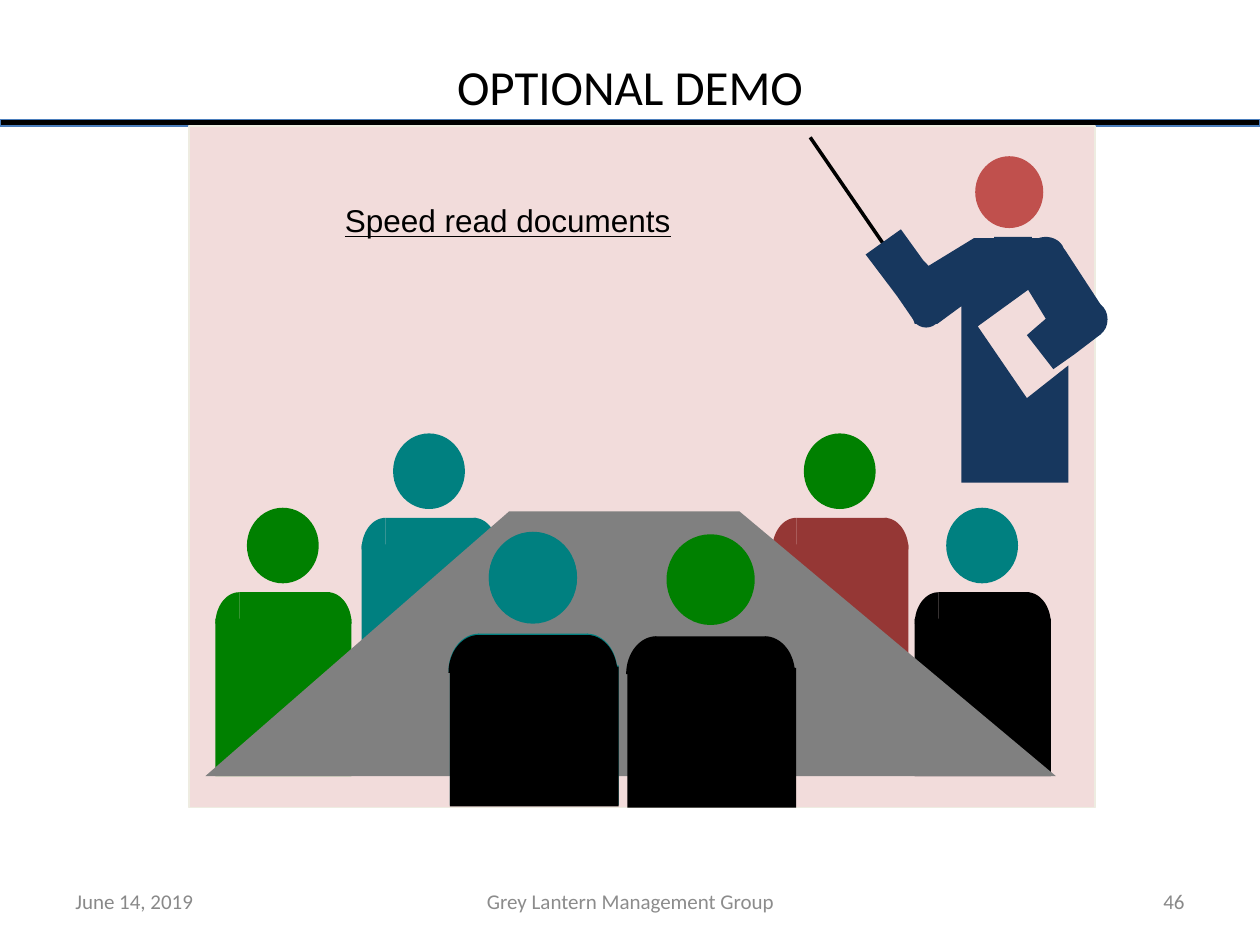
import math

import pptx
import pptx.dml.color
import pptx.enum.shapes
import pptx.enum.text
import pptx.oxml.ns
import pptx.util
from pptx.util import Inches

SHAPE = pptx.enum.shapes.MSO_SHAPE
ALIGN = pptx.enum.text.PP_ALIGN
ANCHOR = pptx.enum.text.MSO_ANCHOR

THEME = {
    "black": "000000", "rule_edge": "4B7EBC", "wall": "F2DCDB", "wall_edge": "EEECE1",
    "navy": "17375E", "red": "C0504D", "maroon": "953735", "teal": "008080",
    "green": "008000", "table": "808080", "muted": "898989", "footer": "8C8C8C",
    "title_size": 28, "caption_size": 18, "footer_size": 12,
    "body_font": "Calibri", "caption_font": "Arial",
}

TITLE = "OPTIONAL DEMO"
CAPTION = "Speed read documents"
FOOTERS = [  # text, box left, box width, alignment, colour
    ("46", 7.17, 2.33, ALIGN.RIGHT, "muted"),
    ("June 14, 2019", 0.5, 2.33, ALIGN.LEFT, "muted"),
    ("Grey Lantern Management Group", 3.42, 3.17, ALIGN.CENTER, "footer"),
]

# Measures of a seated person; offsets start at the left shoulder's outer top corner
FAR = dict(head=(0.25, -0.67, 0.57, 0.6), chest=(0.19, 0, 0.72, 0.31),
           torso=(0, 0.21, 1.08, 1.25), shoulder=(0.19, 0.25), width=1.08)
NEAR = dict(head=(0.32, -0.81, 0.7, 0.72), chest=(0.23, 0, 0.88, 0.36),
            torso=(0.01, 0.25, 1.34, 1.11), shoulder=(0.24, 0.3), width=1.34)
FAR_SEATS = [  # left, top, body colour, head colour
    (7.26, 4.7, "black", "teal"),
    (6.13, 4.11, "maroon", "green"),
    (2.87, 4.11, "teal", "teal"),
    (1.71, 4.7, "green", "green"),
]
NEAR_SEATS = [
    (4.97, 5.05, "black", "green"),
    (3.56, 5.03, "teal", "teal"),
    (3.56, 5.04, "black", "teal"),
]
TABLE = [(1.63, 6.16), (4.04, 4.06), (5.87, 4.06), (8.38, 6.16)]
PRESENTER = [
    (8.19, 1.89), (8.3, 1.89), (8.45, 1.98), (8.75, 2.44), (8.74, 2.65), (8.53, 2.81),
    (8.36, 2.93), (8.15, 2.66), (8.23, 2.59), (8.3, 2.53), (8.16, 2.3), (7.76, 2.59),
    (8.15, 3.16), (8.48, 2.9), (8.48, 3.83), (7.63, 3.83), (7.63, 2.43), (7.44, 2.57),
    (7.26, 2.57), (7.25, 2.54), (7.12, 2.35), (6.87, 2.02), (7.15, 1.82), (7.33, 2.07),
    (7.37, 2.11), (7.73, 1.89), (7.87, 1.89),
]


def rgb(colour):
    return pptx.dml.color.RGBColor.from_string(THEME[colour])


def paint(shape, fill, edge=None, edge_width=1):
    shape.shadow.inherit = False
    shape.fill.solid()
    shape.fill.fore_color.rgb = rgb(fill)
    if edge:
        shape.line.color.rgb = rgb(edge)
        shape.line.width = pptx.util.Pt(edge_width)
    else:
        shape.line.fill.background()


def add_preset(slide, kind, box, fill, **edge):
    paint(slide.shapes.add_shape(kind, *map(Inches, box)), fill, **edge)


def add_outline(slide, points, fill):
    corners = [(Inches(x), Inches(y)) for x, y in points]
    builder = slide.shapes.build_freeform(*corners[0])
    builder.add_line_segments(corners[1:], close=True)
    paint(builder.convert_to_shape(), fill)


def add_sector(slide, centre, radii, start, end, fill):
    """Add an elliptical sector; degrees run counterclockwise from the right."""
    steps = 16
    angles = [math.radians(start + (end - start) * i / steps) for i in range(steps + 1)]
    (cx, cy), (rx, ry) = centre, radii
    arc = [(cx + rx * math.cos(a), cy - ry * math.sin(a)) for a in angles]
    add_outline(slide, arc + [centre], fill)


def add_person(slide, build, left, top, body, head):
    def placed(part):
        dx, dy, width, height = build[part]
        return left + dx, top + dy, width, height

    add_preset(slide, SHAPE.OVAL, placed("head"), head)
    for part in ("chest", "torso"):
        add_preset(slide, SHAPE.RECTANGLE, placed(part), body)
    rx, ry = build["shoulder"]
    for centre_x, start in ((left + rx, 90), (left + build["width"] - rx, 0)):
        add_sector(slide, (centre_x, top + ry), (rx, ry), start, start + 90, body)


def add_pointer(slide, start, end):
    pointer = slide.shapes.add_connector(
        pptx.enum.shapes.MSO_CONNECTOR.STRAIGHT, *map(Inches, start + end))
    pointer.line.color.rgb = rgb("black")
    pointer.line.width = pptx.util.Pt(2)
    properties = pointer._element.spPr
    properties.append(properties.makeelement(pptx.oxml.ns.qn("a:effectLst"), {}))


def add_text(slide, text, box, *, size, colour="black", font="body_font",
             align=ALIGN.CENTER, anchor=ANCHOR.TOP, underline=None):
    frame = slide.shapes.add_textbox(*map(Inches, box)).text_frame
    frame.word_wrap = True
    frame.vertical_anchor = anchor
    paragraph = frame.paragraphs[0]
    paragraph.alignment = align
    run = paragraph.add_run()
    run.text = text
    run.font.name = THEME[font]
    run.font.size = pptx.util.Pt(THEME[size])
    run.font.color.rgb = rgb(colour)
    run.font.underline = underline


def add_presenter(slide):
    add_pointer(slide, (7.11, 2.08), (6.43, 1.09))
    add_preset(slide, SHAPE.OVAL, (7.24, 2.4, 0.22, 0.2), "navy")  # right elbow
    add_preset(slide, SHAPE.OVAL, (7.74, 1.24, 0.54, 0.57), "red")  # head
    add_outline(slide, PRESENTER, "navy")
    add_preset(slide, SHAPE.OVAL, (8.57, 2.4, 0.22, 0.27), "navy")  # left elbow
    add_sector(slide, (8.04, 1.88), (0.15, 0.13), 180, 360, "navy")  # collar
    add_sector(slide, (8.3, 2.01), (0.15, 0.13), 137, -38, "navy")  # left shoulder


def main():
    deck = pptx.Presentation()
    deck.slide_width, deck.slide_height = Inches(10), Inches(7.5)
    slide = deck.slides.add_slide(deck.slide_layouts[6])

    add_preset(slide, SHAPE.RECTANGLE, (0, 0.95, 10, 0.05), "black",
               edge="rule_edge", edge_width=0.75)
    add_preset(slide, SHAPE.RECTANGLE, (1.5, 1, 7.19, 5.41), "wall", edge="wall_edge")
    add_presenter(slide)
    for seat in FAR_SEATS:
        add_person(slide, FAR, *seat)
    add_outline(slide, TABLE, "table")
    for seat in NEAR_SEATS:
        add_person(slide, NEAR, *seat)

    add_text(slide, CAPTION, (1.63, 1.55, 4.8, 0.67), size="caption_size",
             font="caption_font", underline=True)
    add_text(slide, TITLE, (0, 0.4, 10, 0.6), size="title_size")
    for text, left, width, align, colour in FOOTERS:
        add_text(slide, text, (left, 6.95, width, 0.4), size="footer_size",
                 colour=colour, align=align, anchor=ANCHOR.MIDDLE)
    deck.save("out.pptx")


if __name__ == "__main__":
    main()
